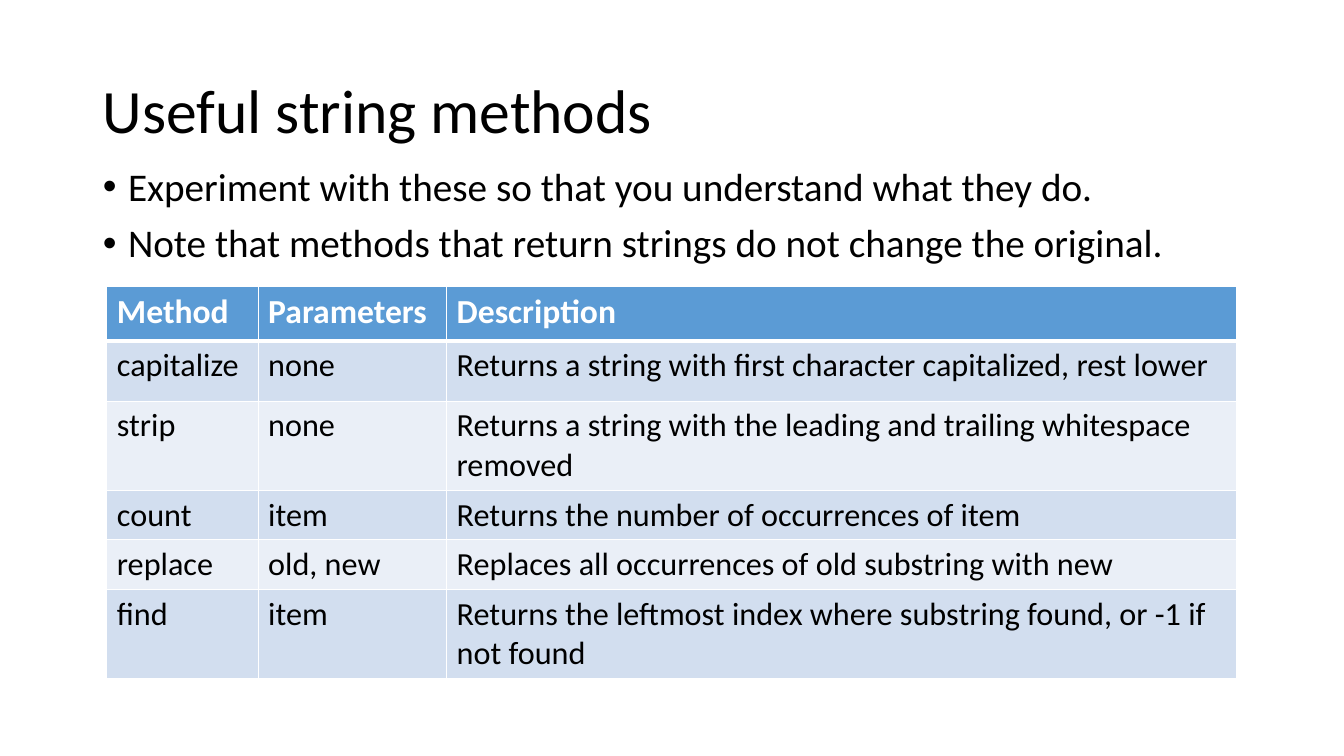
from pptx import Presentation
from pptx.dml.color import RGBColor
from pptx.enum.text import MSO_ANCHOR as Anchor, MSO_AUTO_SIZE as Fit, PP_ALIGN as Align
from pptx.oxml.xmlchemy import OxmlElement as Element
from pptx.util import Inches, Pt

BLACK = RGBColor(0x00, 0x00, 0x00)
WHITE = RGBColor(0xFF, 0xFF, 0xFF)
BLUE = RGBColor(0x5B, 0x9B, 0xD5)
BANDS = RGBColor(0xD2, 0xDE, 0xEF), RGBColor(0xEA, 0xEF, 0xF7)

TITLE = "Useful string methods"
NOTES = [
    "Experiment with these so that you understand what they do.",
    "Note that methods that return strings do not change the original.",
]
METHODS = [
    ("Method", "Parameters", "Description"),
    ("capitalize", "none", "Returns a string with first character capitalized, rest lower"),
    ("strip", "none", "Returns a string with the leading and trailing whitespace removed"),
    ("count", "item", "Returns the number of occurrences of item"),
    ("replace", "old, new", "Replaces all occurrences of old substring with new"),
    ("find", "item", "Returns the leftmost index where substring found, or -1 if not found"),
]
WIDTHS = 1.5, 1.87, 7.84
HEIGHTS = 0.54, 0.6, 0.75, 0.42, 0.42, 0.75


def style(par, size, color=BLACK, bold=False):
    for run in par.runs:
        font = run.font
        font.name, font.size, font.bold = "Calibri", Pt(size), bold
        font.color.rgb = color


def place(shape, box):
    shape.left, shape.top, shape.width, shape.height = map(Inches, box)


def add_title(slide, box):
    shape = slide.shapes.title
    place(shape, box)
    frame = shape.text_frame
    frame.text = TITLE
    frame.auto_size = Fit.NONE
    frame.vertical_anchor = Anchor.MIDDLE
    par = frame.paragraphs[0]
    par.alignment = Align.LEFT
    par.line_spacing = 0.9
    style(par, 44)


def add_notes(slide, box):
    shape = slide.placeholders[1]
    place(shape, box)
    frame = shape.text_frame
    frame.text = "\n".join(NOTES)
    frame.auto_size = Fit.NONE
    for par in frame.paragraphs:
        par.line_spacing = 0.9
        par.space_before = Pt(10)
        props = par._p.get_or_add_pPr()
        props.set("marL", str(Inches(0.25)))
        props.set("indent", str(-Inches(0.25)))
        style(par, 28)


def add_edge(cell, side, width):
    line = Element(f"a:ln{side}")
    line.set("w", str(Pt(width)))
    fill = Element("a:solidFill")
    color = Element("a:srgbClr")
    color.set("val", str(WHITE))
    fill.append(color)
    line.append(fill)
    cell._tc.get_or_add_tcPr().append(line)


def add_methods(slide, box):
    frame = slide.shapes.add_table(len(METHODS), len(WIDTHS), *map(Inches, box))
    table = frame.table
    for col, width in zip(table.columns, WIDTHS):
        col.width = Inches(width)
    for i, (row, height, texts) in enumerate(zip(table.rows, HEIGHTS, METHODS)):
        row.height = Inches(height)
        head = i == 0
        for cell, text in zip(row.cells, texts):
            # A thick rule parts the header from the rows
            for side in "LRTB":
                thick = (i, side) in ((0, "B"), (1, "T"))
                add_edge(cell, side, 3 if thick else 1)
            cell.fill.solid()
            cell.fill.fore_color.rgb = BLUE if head else BANDS[(i - 1) % 2]
            cell.text_frame.text = text
            style(cell.text_frame.paragraphs[0], 24 if head else 23,
                  WHITE if head else BLACK, head)


def main():
    deck = Presentation()
    deck.slide_width, deck.slide_height = Inches(13.33), Inches(7.5)
    slide = deck.slides.add_slide(deck.slide_layouts[1])
    add_title(slide, (0.92, 0.4, 11.5, 1.45))
    add_notes(slide, (0.92, 1.61, 11.5, 5.14))
    add_methods(slide, (1.06, 2.84, sum(WIDTHS), sum(HEIGHTS)))
    deck.save("out.pptx")


if __name__ == "__main__":
    main()
